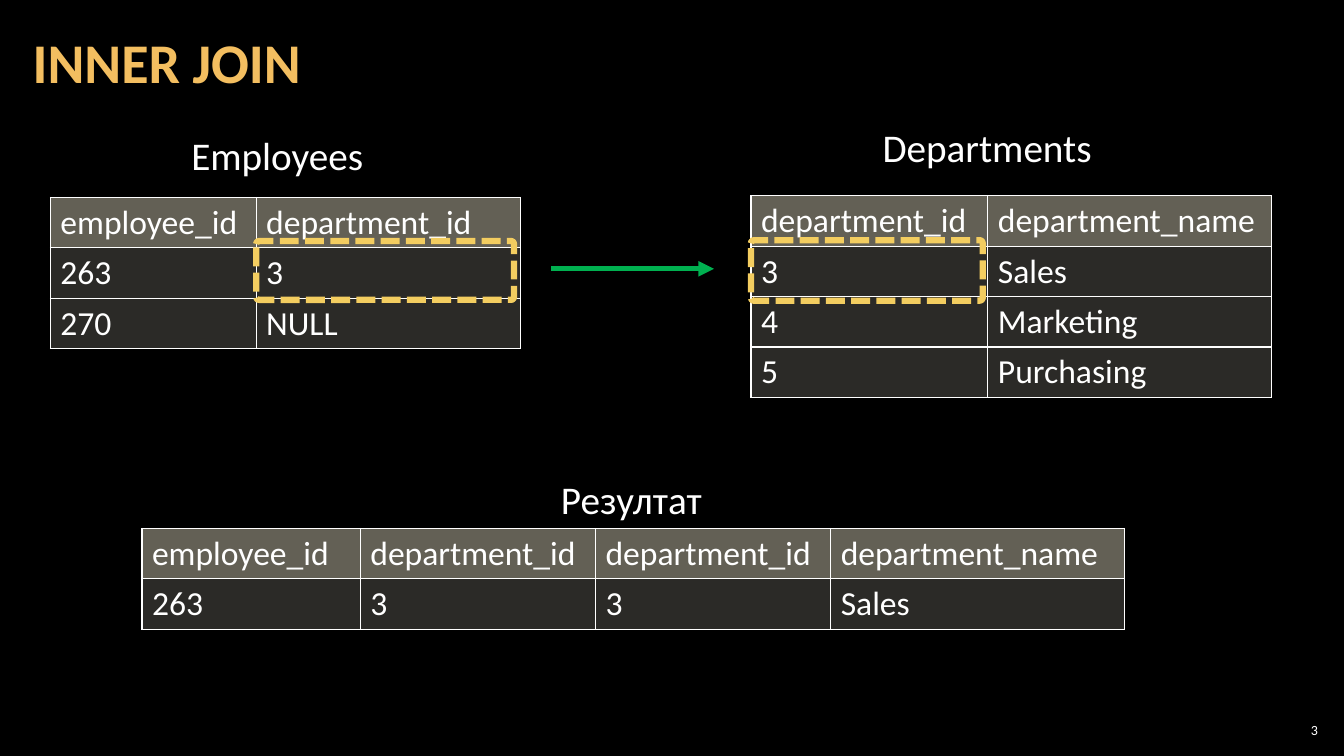
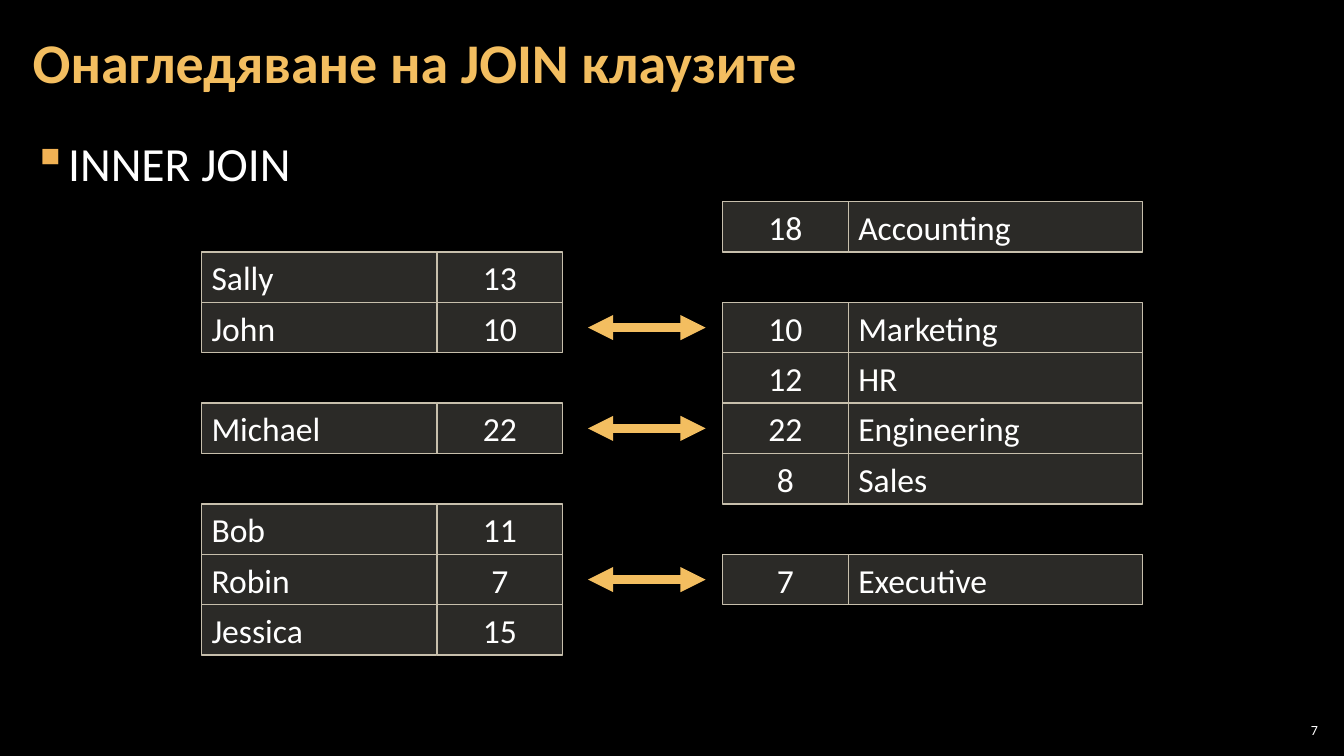
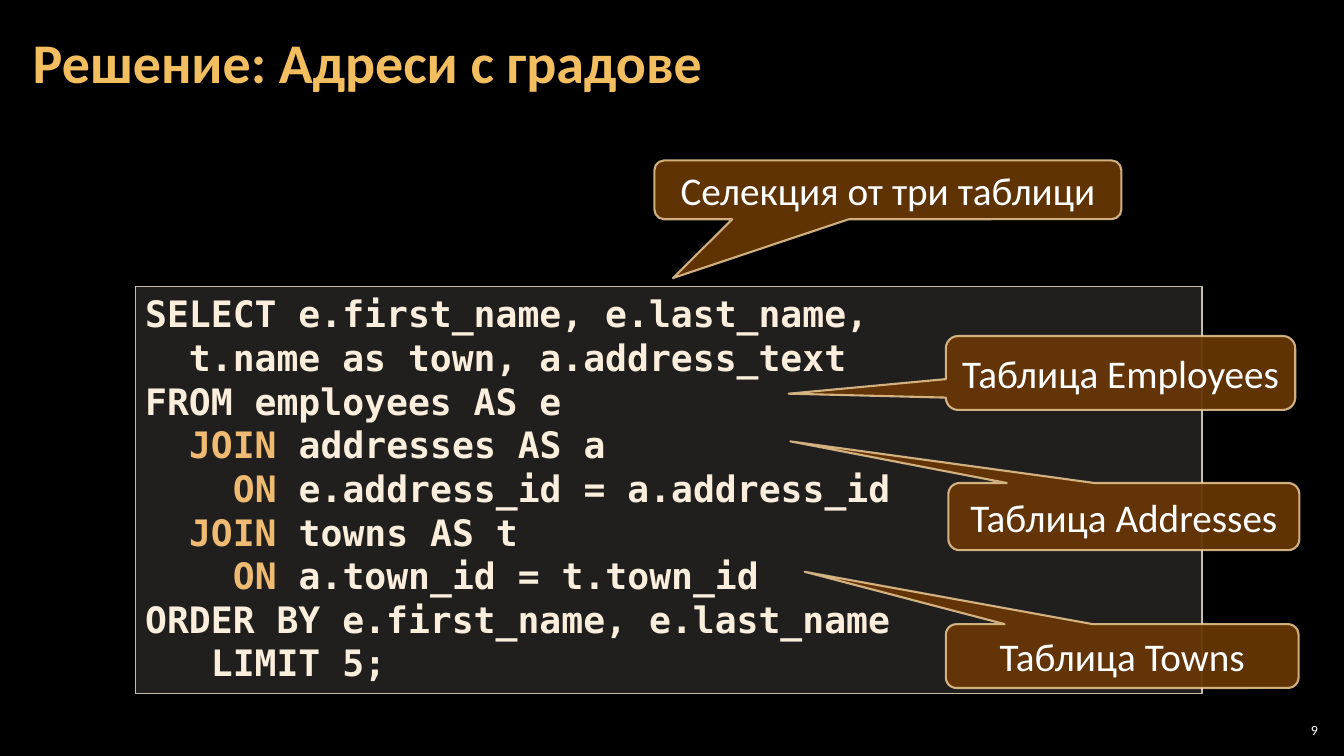
from dataclasses import dataclass
from typing import Any, NamedTuple

from lxml.etree import SubElement
from pptx import Presentation
from pptx.dml.color import RGBColor
from pptx.enum.dml import MSO_LINE
from pptx.enum.shapes import MSO_CONNECTOR, MSO_SHAPE
from pptx.enum.text import MSO_ANCHOR, MSO_AUTO_SIZE, PP_ALIGN
from pptx.oxml.ns import qn
from pptx.util import Emu, Inches, Pt

CELL = Inches(1) // 12
GRID_COLUMNS = 160
GRID_ROWS = 90
ROW_HEIGHT = 6

BLACK = RGBColor(0x00, 0x00, 0x00)
WHITE = RGBColor(0xFF, 0xFF, 0xFF)
GOLD = RGBColor(0xF3, 0xBE, 0x60)
BULLET_GOLD = RGBColor(0xF2, 0xB2, 0x54)
HIGHLIGHT = RGBColor(0xF3, 0xCD, 0x60)
GREEN = RGBColor(0x00, 0xB0, 0x50)
HEADER_SAND = RGBColor(0xC6, 0xC0, 0xAA)
BODY_SAND = RGBColor(0xD9, 0xD5, 0xC7)
SAND_LINE = RGBColor(0xC7, 0xBF, 0xAC)
BROWN = RGBColor(0x66, 0x36, 0x06)
CALLOUT_LINE = RGBColor(0xF8, 0xD4, 0x9E)
CODE_TEXT = RGBColor(0xFB, 0xEE, 0xDC)
CODE_KEYWORD = RGBColor(0xEF, 0xBB, 0x72)


class Frame(NamedTuple):
    left: float
    top: float
    width: float
    height: float

    def lengths(self) -> list[Emu]:
        return [grid(value) for value in self]


@dataclass(frozen=True)
class TextStyle:
    size: float
    color: RGBColor = WHITE
    bold: bool = False
    font: str = "Calibri"


@dataclass(frozen=True)
class DataTable:
    label: str
    label_frame: Frame
    left: float
    top: float
    columns: tuple[float, ...]
    rows: tuple[tuple[str, ...], ...]


@dataclass(frozen=True)
class Record:
    slot: int
    name: str
    key: str


@dataclass(frozen=True)
class Callout:
    text: str
    frame: Frame
    tip: tuple[float, float]


class CodeLine(NamedTuple):
    indent: str
    keyword: str
    rest: str


TITLE_STYLE = TextStyle(40, GOLD, True)
BULLET_STYLE = TextStyle(34)
LABEL_STYLE = TextStyle(28)
CELL_STYLE = TextStyle(24)
NUMBER_STYLE = TextStyle(10)
CODE_STYLE = TextStyle(26, CODE_TEXT, True, "DejaVu Sans Mono")
KEYWORD_STYLE = TextStyle(26, CODE_KEYWORD, True, "DejaVu Sans Mono")

TITLE_FRAME = Frame(2.5, 0.5, 125.6, 14.5)
NUMBER_FRAME = Frame(151.8, 85.7, 5.6, 2.5)
BULLET_FRAME = Frame(2.5, 15.1, 155, 73)
CODE_FRAME = Frame(16.1, 34.1, 127, 48.5)

TABLES = (
    DataTable("Employees", Frame(21.6, 15, 23, 6.8), 6, 23.5, (24.5, 31.5),
              (("employee_id", "department_id"), ("263", "3"), ("270", "NULL"))),
    DataTable("Departments", Frame(103.9, 14.1, 27.6, 6.8), 89.4, 23.3, (28.2, 33.8),
              (("department_id", "department_name"), ("3", "Sales"),
               ("4", "Marketing"), ("5", "Purchasing"))),
    DataTable("Резултат", Frame(65.6, 56, 19.3, 6.8), 16.9, 62.9, (26, 28, 28, 35),
              (("employee_id", "department_id", "department_id", "department_name"),
               ("263", "3", "3", "Sales"))),
)
HIGHLIGHTS = (Frame(30.5, 28.7, 30.7, 7), Frame(89.4, 28.6, 27.6, 7.2))

PEOPLE = (
    Record(1, "Sally", "13"), Record(2, "John", "10"), Record(4, "Michael", "22"),
    Record(6, "Bob", "11"), Record(7, "Robin", "7"), Record(8, "Jessica", "15"),
)
DEPARTMENTS = (
    Record(0, "Accounting", "18"), Record(2, "Marketing", "10"), Record(3, "HR", "12"),
    Record(4, "Engineering", "22"), Record(5, "Sales", "8"), Record(7, "Executive", "7"),
)
RECORDS_TOP = 24
KEY_WIDTH = 15
PERSON_LEFT, PERSON_WIDTH = 24, 28
DEPARTMENT_LEFT, DEPARTMENT_WIDTH = 86, 35
MATCH_START, MATCH_END = 70, 84

CODE = (
    (CodeLine("", "", "SELECT e.first_name, e.last_name,"),),
    (CodeLine("", "", "  t.name as town, a.address_text"),),
    (CodeLine("", "", "FROM employees AS e"),),
    (CodeLine("  ", "JOIN ", "addresses AS a "),
     CodeLine("    ", "ON", " e.address_id = a.address_id")),
    (CodeLine("  ", "JOIN ", "towns AS t "),
     CodeLine("    ", "ON", " a.town_id = t.town_id")),
    (CodeLine("", "", "ORDER BY e.first_name, e.last_name "),
     CodeLine("", "", "   LIMIT 5;")),
)
CALLOUTS = (
    Callout("Таблица Employees", Frame(112.6, 40, 41.6, 8.8), (-0.95, 0.28)),
    Callout("Таблица Towns", Frame(112.6, 74.3, 42, 7.6), (-0.9, -1.32)),
    Callout("Селекция от три таблици", Frame(77.9, 19.1, 55.6, 7), (-0.46, 1.5)),
    Callout("Таблица Addresses", Frame(112.9, 57.5, 41.8, 8), (-0.95, -1.12)),
)


def grid(value: float) -> Emu:
    return Emu(round(value * CELL))


def add_span(para: Any, text: str, style: TextStyle) -> None:
    span = para.add_run()
    span.text = text
    span.font.name = style.font
    span.font.size = Pt(style.size)
    span.font.bold = style.bold
    span.font.color.rgb = style.color


def set_alpha(parent: Any, percent: int) -> None:
    color = parent.find(qn("a:solidFill")).find(qn("a:srgbClr"))
    SubElement(color, qn("a:alpha")).set("val", str(percent * 1000))


def set_margins(text_frame: Any, side: float, edge: float) -> None:
    text_frame.margin_left = text_frame.margin_right = grid(side)
    text_frame.margin_top = text_frame.margin_bottom = grid(edge)


def add_text(slide: Any, frame: Frame, text: str, style: TextStyle, wrap: bool = True) -> Any:
    box = slide.shapes.add_textbox(*frame.lengths())
    box.text_frame.word_wrap = wrap
    add_span(box.text_frame.paragraphs[0], text, style)
    return box


def add_panel(slide: Any, kind: MSO_SHAPE, frame: Frame, fill: RGBColor, alpha: int,
              line: RGBColor, line_width: float) -> Any:
    panel = slide.shapes.add_shape(kind, *frame.lengths())
    panel.shadow.inherit = False
    panel.fill.solid()
    panel.fill.fore_color.rgb = fill
    set_alpha(panel.element.spPr, alpha)
    panel.line.color.rgb = line
    panel.line.width = Pt(line_width)
    panel.text_frame.word_wrap = True
    panel.text_frame.vertical_anchor = MSO_ANCHOR.MIDDLE
    return panel


def add_arrow(slide: Any, start: float, end: float, row: float, color: RGBColor,
              width: float, ends: tuple[str, ...]) -> None:
    arrow = slide.shapes.add_connector(
        MSO_CONNECTOR.STRAIGHT, grid(start), grid(row), grid(end), grid(row))
    arrow.line.color.rgb = color
    arrow.line.width = Pt(width)
    properties = arrow.element.spPr
    for end_name in ends:
        SubElement(properties.find(qn("a:ln")), qn(end_name)).set("type", "triangle")
    SubElement(properties, qn("a:effectLst"))


def add_page(deck: Any, title: str, number: int) -> Any:
    page = deck.slides.add_slide(deck.slide_layouts.get_by_name("Title Only"))
    heading = page.shapes.title
    heading.left, heading.top, heading.width, heading.height = TITLE_FRAME.lengths()
    heading.text_frame.vertical_anchor = MSO_ANCHOR.MIDDLE
    heading.text_frame.auto_size = MSO_AUTO_SIZE.NONE
    set_margins(heading.text_frame, 1.4, 0.5)
    para = heading.text_frame.paragraphs[0]
    para.alignment = PP_ALIGN.LEFT
    para.line_spacing = 0.9
    add_span(para, title, TITLE_STYLE)
    box = add_text(page, NUMBER_FRAME, str(number), NUMBER_STYLE)
    box.text_frame.vertical_anchor = MSO_ANCHOR.MIDDLE
    box.text_frame.paragraphs[0].alignment = PP_ALIGN.RIGHT
    set_margins(box.text_frame, 0.5, 0.5)
    return page


def add_borders(properties: Any) -> None:
    for side in ("a:lnL", "a:lnR", "a:lnT", "a:lnB"):
        border = SubElement(properties, qn(side))
        border.set("w", str(Pt(1)))
        fill = SubElement(border, qn("a:solidFill"))
        SubElement(fill, qn("a:srgbClr")).set("val", str(WHITE))


def add_data_table(page: Any, data: DataTable) -> None:
    label = add_text(page, data.label_frame, data.label, LABEL_STYLE, wrap=False)
    label.text_frame.auto_size = MSO_AUTO_SIZE.SHAPE_TO_FIT_TEXT
    frame = Frame(data.left, data.top, sum(data.columns), ROW_HEIGHT * len(data.rows))
    table = page.shapes.add_table(len(data.rows), len(data.columns), *frame.lengths()).table
    table.first_row = table.horz_banding = False
    for column, width in zip(table.columns, data.columns):
        column.width = grid(width)
    for row_index, row in enumerate(data.rows):
        color, alpha = (BODY_SAND, 20) if row_index else (HEADER_SAND, 50)
        for column_index, text in enumerate(row):
            cell = table.cell(row_index, column_index)
            properties = cell._tc.get_or_add_tcPr()
            add_borders(properties)
            cell.fill.solid()
            cell.fill.fore_color.rgb = color
            set_alpha(properties, alpha)
            add_span(cell.text_frame.paragraphs[0], text, CELL_STYLE)


def add_record_cell(page: Any, left: float, width: float, slot: int, text: str,
                    alignment: PP_ALIGN) -> None:
    frame = Frame(left, RECORDS_TOP + slot * ROW_HEIGHT, width, ROW_HEIGHT)
    panel = add_panel(page, MSO_SHAPE.RECTANGLE, frame, BODY_SAND, 20, SAND_LINE, 1)
    para = panel.text_frame.paragraphs[0]
    para.alignment = alignment
    add_span(para, text, CELL_STYLE)


def add_records(page: Any, records: tuple[Record, ...], name_left: float,
                name_width: float, key_left: float) -> None:
    for record in records:
        add_record_cell(page, name_left, name_width, record.slot, record.name, PP_ALIGN.LEFT)
        add_record_cell(page, key_left, KEY_WIDTH, record.slot, record.key, PP_ALIGN.CENTER)


def add_bullet(page: Any, text: str) -> None:
    box = page.shapes.add_textbox(*BULLET_FRAME.lengths())
    box.text_frame.word_wrap = True
    set_margins(box.text_frame, 1.4, 0.5)
    para = box.text_frame.paragraphs[0]
    para.line_spacing = 1.05
    para.space_after = Pt(6)
    properties = para._p.get_or_add_pPr()
    properties.set("marL", str(grid(4)))
    properties.set("indent", str(grid(-4)))
    color = SubElement(properties, qn("a:buClr"))
    SubElement(color, qn("a:srgbClr")).set("val", str(BULLET_GOLD))
    SubElement(properties, qn("a:buChar")).set("char", "▪")
    add_span(para, text, BULLET_STYLE)


def add_code(page: Any) -> None:
    panel = add_panel(page, MSO_SHAPE.RECTANGLE, CODE_FRAME, BODY_SAND, 15, SAND_LINE, 1)
    text_frame = panel.text_frame
    text_frame.vertical_anchor = MSO_ANCHOR.TOP
    for para_index, lines in enumerate(CODE):
        para = text_frame.add_paragraph() if para_index else text_frame.paragraphs[0]
        para.alignment = PP_ALIGN.LEFT
        for line_index, line in enumerate(lines):
            if line_index:
                para.add_line_break()
            for text, style in zip(line, (CODE_STYLE, KEYWORD_STYLE, CODE_STYLE)):
                if text:
                    add_span(para, text, style)


def add_callout(page: Any, callout: Callout) -> None:
    panel = add_panel(page, MSO_SHAPE.ROUNDED_RECTANGULAR_CALLOUT, callout.frame,
                      BROWN, 95, CALLOUT_LINE, 1.5)
    set_alpha(panel.element.spPr.find(qn("a:ln")), 80)
    panel.adjustments[0], panel.adjustments[1] = callout.tip
    para = panel.text_frame.paragraphs[0]
    para.alignment = PP_ALIGN.CENTER
    add_span(para, callout.text, LABEL_STYLE)


def build_inner_join(deck: Any) -> None:
    page = add_page(deck, "INNER JOIN", 3)
    for data in TABLES:
        add_data_table(page, data)
    add_arrow(page, 65.6, 85, 32, GREEN, 3.75, ("a:tailEnd",))
    for frame in HIGHLIGHTS:
        outline = page.shapes.add_shape(MSO_SHAPE.ROUNDED_RECTANGLE, *frame.lengths())
        outline.shadow.inherit = False
        outline.adjustments[0] = 0.05
        outline.fill.background()
        outline.line.color.rgb = HIGHLIGHT
        outline.line.width = Pt(4.5)
        outline.line.dash_style = MSO_LINE.SQUARE_DOT


def build_join_matches(deck: Any) -> None:
    page = add_page(deck, "Онагледяване на JOIN клаузите", 7)
    add_bullet(page, "INNER JOIN")
    add_records(page, PEOPLE, PERSON_LEFT, PERSON_WIDTH, PERSON_LEFT + PERSON_WIDTH)
    add_records(page, DEPARTMENTS, DEPARTMENT_LEFT + KEY_WIDTH, DEPARTMENT_WIDTH,
                DEPARTMENT_LEFT)
    department_keys = {department.key for department in DEPARTMENTS}
    for person in PEOPLE:
        if person.key in department_keys:
            row = RECORDS_TOP + (person.slot + 0.5) * ROW_HEIGHT
            add_arrow(page, MATCH_START, MATCH_END, row, GOLD, 6, ("a:headEnd", "a:tailEnd"))


def build_solution(deck: Any) -> None:
    page = add_page(deck, "Решение: Адреси с градове", 9)
    add_code(page)
    for callout in CALLOUTS:
        add_callout(page, callout)


def main() -> None:
    deck = Presentation()
    deck.slide_width = grid(GRID_COLUMNS)
    deck.slide_height = grid(GRID_ROWS)
    background = deck.slide_master.background.fill
    background.solid()
    background.fore_color.rgb = BLACK
    build_inner_join(deck)
    build_join_matches(deck)
    build_solution(deck)
    deck.save("out.pptx")


if __name__ == "__main__":
    main()
